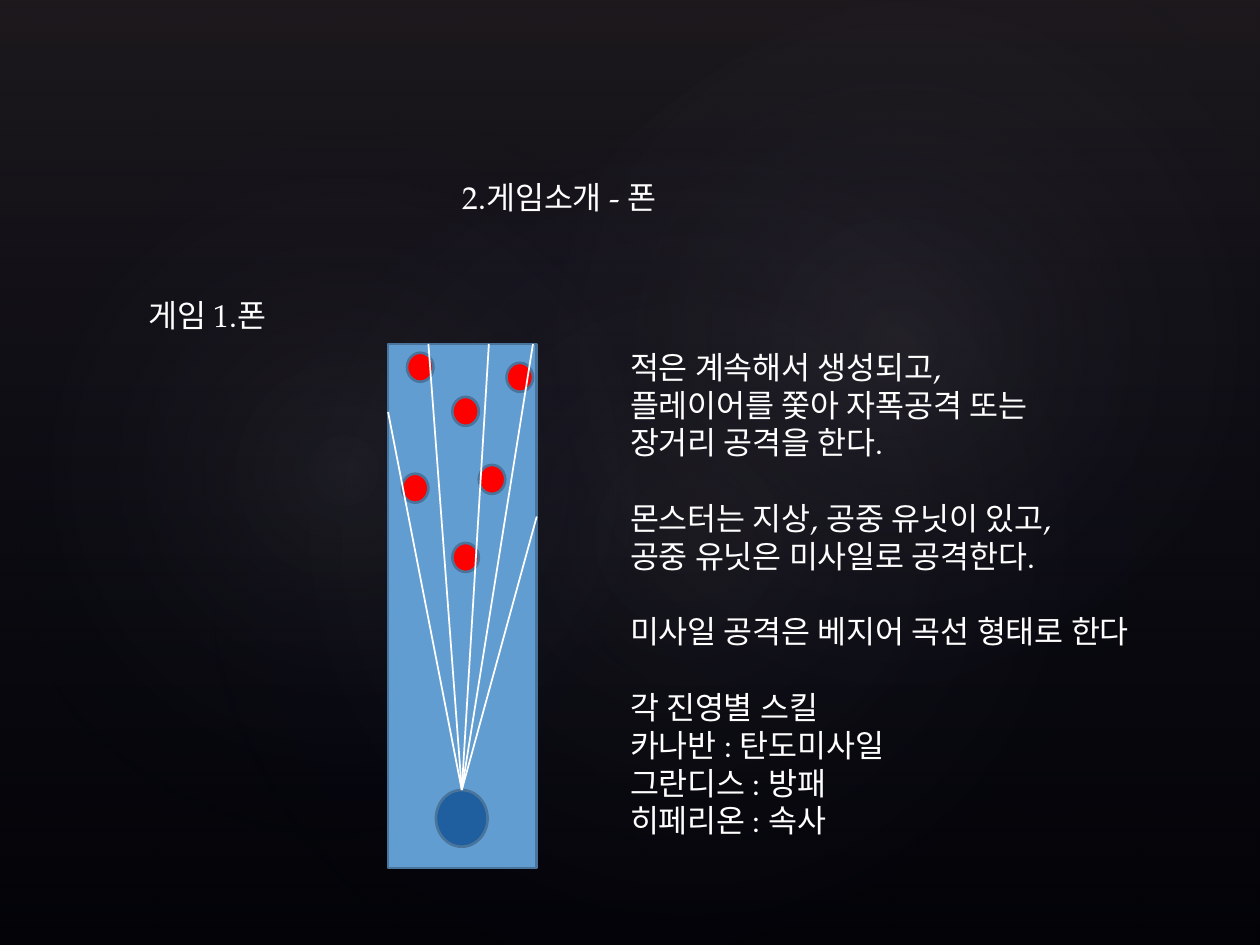
"""Builds the game introduction slide with its missile diagram."""
from lxml import etree
from pptx import Presentation
from pptx.dml.color import RGBColor
from pptx.enum.shapes import MSO_CONNECTOR, MSO_SHAPE
from pptx.enum.text import MSO_ANCHOR, MSO_AUTO_SIZE, PP_ALIGN
from pptx.oxml import parse_xml
from pptx.oxml.ns import nsdecls, qn
from pptx.util import Inches, Pt

RECTANGLE, OVAL = MSO_SHAPE.RECTANGLE, MSO_SHAPE.OVAL
STRAIGHT = MSO_CONNECTOR.STRAIGHT
TOP, LEFT, FIXED = MSO_ANCHOR.TOP, PP_ALIGN.LEFT, MSO_AUTO_SIZE.NONE

BLACK = RGBColor(0x00, 0x00, 0x00)
WHITE = RGBColor(0xFF, 0xFF, 0xFF)
FIELD_BLUE = RGBColor(0x62, 0x9D, 0xD1)
PLAYER_BLUE = RGBColor(0x1F, 0x5F, 0xA0)
ENEMY_RED = RGBColor(0xFF, 0x00, 0x00)
OUTLINE = RGBColor(0x49, 0x74, 0x9B)
DUSK = RGBColor(0x50, 0x46, 0x52)
NIGHT = RGBColor(0x24, 0x28, 0x52)
MIST = RGBColor(0xC4, 0xBC, 0xC6)
FONT = "TeX Gyre Pagella"

TITLE = "2.게임소개 - 폰"
LABEL = "게임 1.폰"
DESCRIPTION = [
    ["적은 계속해서 생성되고,", "플레이어를 쫓아 자폭공격 또는", "장거리 공격을 한다."],
    ["몬스터는 지상, 공중 유닛이 있고,", "공중 유닛은 미사일로 공격한다."],
    ["미사일 공격은 베지어 곡선 형태로 한다"],
    ["각 진영별 스킬", "카나반 : 탄도미사일", "그란디스 : 방패", "히페리온 : 속사"],
]
LINE_PITCH = Pt(21.6)

WIDTH, HEIGHT = 10, 7.5
GLOWS = [
    ((1.5, 1.14, 7.92, 6.24), 328.7, 7),
    ((-0.3, 1.28, 6.06, 4.9), 294.3, 8),
    ((3.58, 0.13, 7.09, 5.2), 328.7, 8),
]
FIELD = FIELD_LEFT, FIELD_TOP, FIELD_WIDTH, FIELD_HEIGHT = 3.08, 2.73, 1.18, 4.16
FIELD_RIGHT = FIELD_LEFT + FIELD_WIDTH
PLAYER = (3.46, 6.27, 0.41, 0.45)
ENEMY_SIZE = (0.21, 0.23)
ENEMIES = [(3.19, 3.76), (3.59, 3.15), (3.8, 3.69), (3.23, 2.8), (3.59, 4.31), (4.02, 2.88)]
TARGETS = [(FIELD_LEFT, 3.27), (4.23, FIELD_TOP), (3.4, FIELD_TOP),
           (3.88, FIELD_TOP), (FIELD_RIGHT, 4.1)]


def inches(lengths):
    return [Inches(length) for length in lengths]


def add_plain(shapes, preset, box):
    shape = shapes.add_shape(preset, *inches(box))
    shape.shadow.inherit = False
    return shape


def add_shade(shapes, preset, box, stops, direction):
    shade = add_plain(shapes, preset, box)
    shade.line.fill.background()
    stop_xml = "".join(
        f'<a:gs pos="{share * 1000}"><a:srgbClr val="{color}">'
        f'<a:alpha val="{opacity * 1000}"/></a:srgbClr></a:gs>'
        for share, color, opacity in stops)
    gradient = parse_xml(f'<a:gradFill {nsdecls("a")} rotWithShape="1">'
                         f'<a:gsLst>{stop_xml}</a:gsLst>{direction}</a:gradFill>')
    shade.element.spPr.find(qn("a:prstGeom")).addnext(gradient)
    return shade


def add_piece(shapes, preset, box, color):
    piece = add_plain(shapes, preset, box)
    piece.fill.solid()
    piece.fill.fore_color.rgb = color
    piece.line.color.rgb = OUTLINE
    piece.line.width = Pt(1.5)
    return piece


def add_missile(shapes, player, target):
    missile = shapes.add_connector(STRAIGHT, 0, 0, *inches(target))
    missile.begin_connect(player, 0)
    missile.line.color.rgb = WHITE
    missile.line.width = Pt(1)
    etree.SubElement(missile.element.spPr, qn("a:effectLst"))


def write(holder, box, texts, wrap=True):
    holder.element.getparent().append(holder.element)
    holder.left, holder.top, holder.width, holder.height = inches(box)
    frame = holder.text_frame
    frame.text = "\n".join(texts)
    frame.word_wrap = wrap
    frame.auto_size = FIXED
    frame.vertical_anchor = TOP
    for index, paragraph in enumerate(frame.paragraphs):
        paragraph.alignment = LEFT
        paragraph.space_before = LINE_PITCH if index else Pt(0)
        paragraph.font.name = FONT
        paragraph.font.size = Pt(18)
        paragraph.font.color.rgb = WHITE
        properties = paragraph._p.get_or_add_pPr()
        properties.set("marL", "0")
        properties.set("indent", "0")
        run_defaults = properties.find(qn("a:defRPr"))
        run_defaults.set("kern", "0")
        run_defaults.addprevious(properties.makeelement(qn("a:buNone"), {}))


def main():
    deck = Presentation()
    deck.slide_width, deck.slide_height = inches((WIDTH, HEIGHT))
    slide = deck.slides.add_slide(deck.slide_layouts[1])
    slide.background.fill.solid()
    slide.background.fill.fore_color.rgb = BLACK
    shapes = slide.shapes
    title, description = slide.placeholders

    add_shade(shapes, RECTANGLE, (0, 0, WIDTH, HEIGHT),
              [(0, DUSK, 36), (100, NIGHT, 10)], '<a:lin ang="5400000" scaled="0"/>')
    center = ('<a:path path="circle">'
              '<a:fillToRect l="50000" t="50000" r="50000" b="50000"/></a:path>')
    for box, angle, opacity in GLOWS:
        glow = add_shade(shapes, OVAL, box,
                         [(0, MIST, opacity), (58, NIGHT, 0), (100, NIGHT, 0)], center)
        glow.rotation = angle

    add_piece(shapes, RECTANGLE, FIELD, FIELD_BLUE)
    player = add_piece(shapes, OVAL, PLAYER, PLAYER_BLUE)
    for corner in ENEMIES:
        add_piece(shapes, OVAL, corner + ENEMY_SIZE, ENEMY_RED)
    for target in TARGETS:
        add_missile(shapes, player, target)

    write(description, (4.9, 2.71, 4.56, 4.04),
          ["\v".join(lines) for lines in DESCRIPTION])
    write(title, (3.57, 1.36, 2.65, 0.94), [TITLE])
    label_box = (1.08, 2.3, 1.27, 0.4)
    write(shapes.add_textbox(*inches(label_box)), label_box, [LABEL], wrap=False)
    deck.save("out.pptx")


if __name__ == "__main__":
    main()
